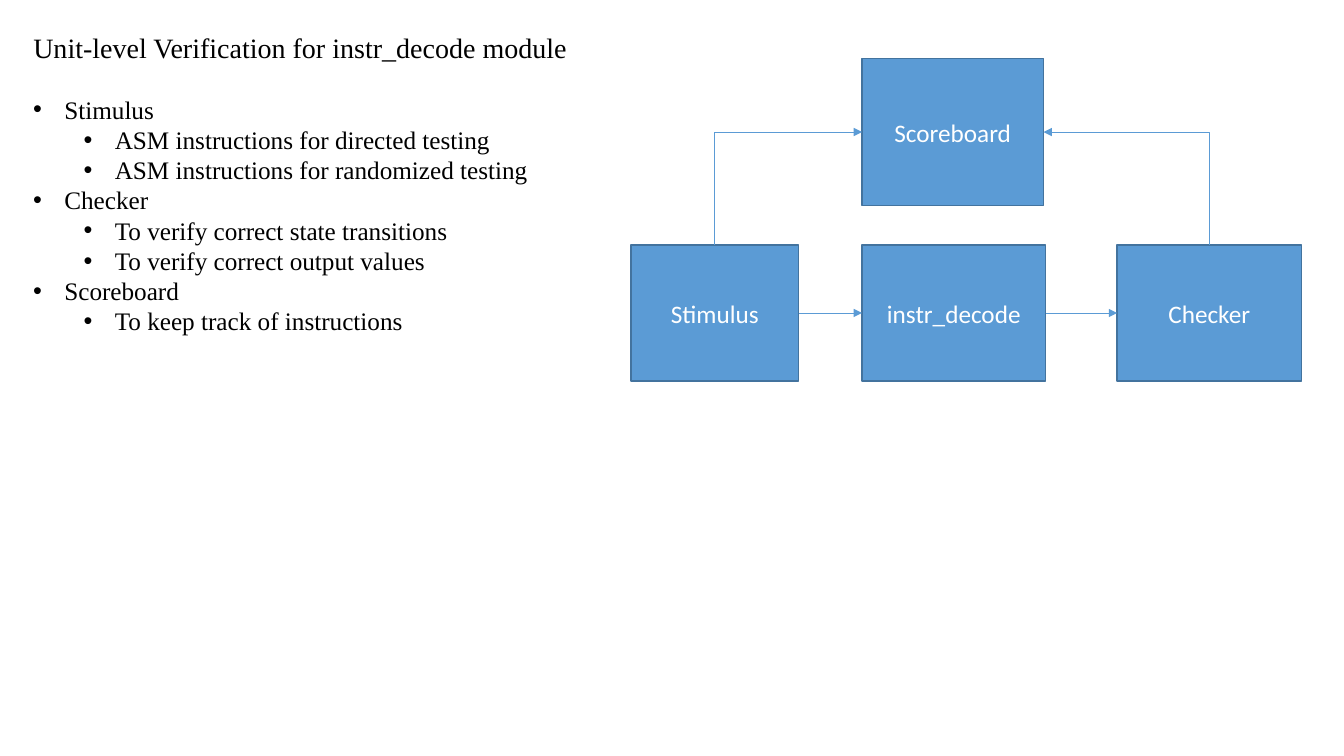
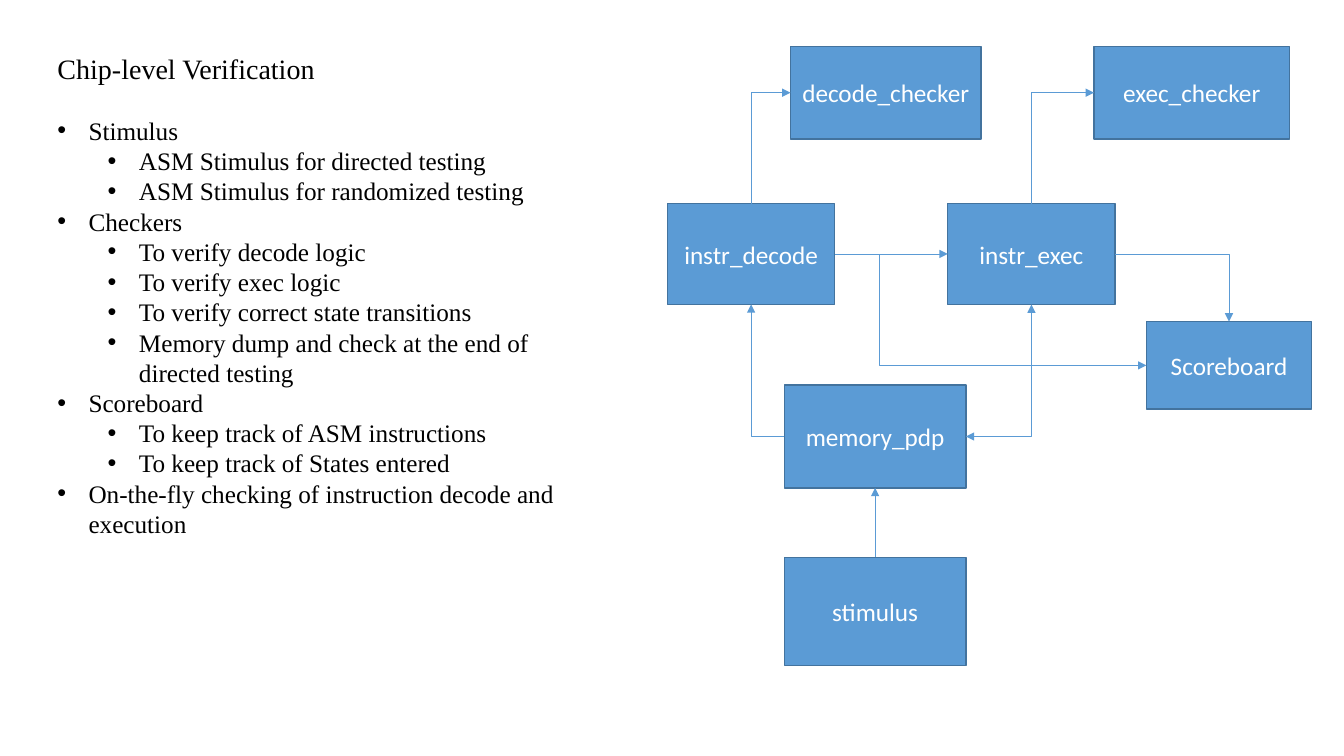
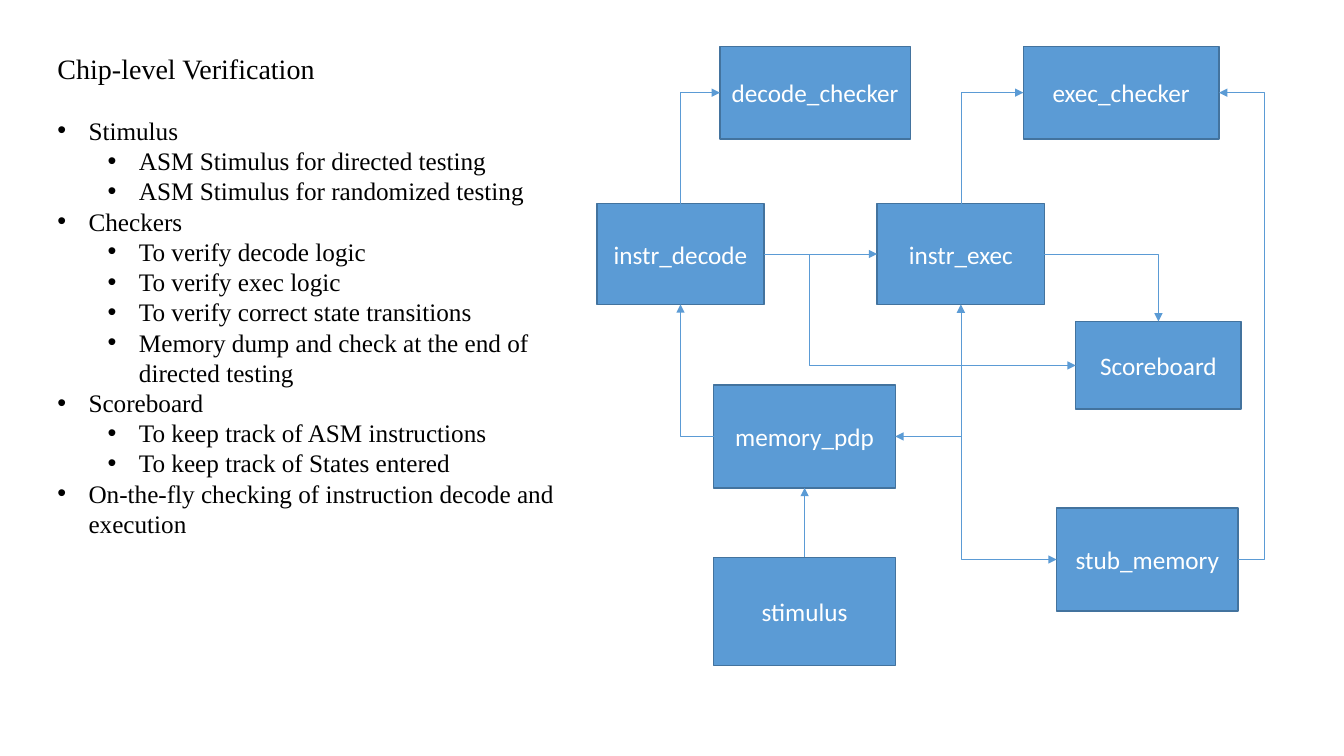
"""Build three slides on unit-level and chip-level verification."""
from lxml import etree
from pptx import Presentation
from pptx.dml.color import RGBColor
from pptx.enum.shapes import MSO_CONNECTOR, MSO_SHAPE
from pptx.enum.text import MSO_ANCHOR, MSO_AUTO_SIZE, PP_ALIGN
from pptx.oxml.ns import qn
from pptx.util import Inches, Pt

STRAIGHT, ELBOW = MSO_CONNECTOR.STRAIGHT, MSO_CONNECTOR.ELBOW
RECTANGLE = MSO_SHAPE.RECTANGLE
TOP, MIDDLE = MSO_ANCHOR.TOP, MSO_ANCHOR.MIDDLE
LEFT_ALIGN, CENTER = PP_ALIGN.LEFT, PP_ALIGN.CENTER
NO_FIT = MSO_AUTO_SIZE.NONE

BLUE, EDGE, WHITE, BLACK = "5B9BD5", "43739E", "FFFFFF", "000000"
SERIF, SANS = "Times New Roman", "Calibri"
TITLE_SIZE, BODY_SIZE, LEADING = 20, 18, 1.2
SITES = {"top": 0, "left": 1, "bottom": 2, "right": 3}

UNIT_BULLETS = [
    (0, "Stimulus"),
    (1, "ASM instructions for directed testing"),
    (1, "ASM instructions for randomized testing"),
    (0, "Checker"),
    (1, "To verify correct state transitions"),
    (1, "To verify correct output values"),
    (0, "Scoreboard"),
    (1, "To keep track of instructions"),
]
UNIT_BLOCKS = {
    "instr_decode": (8.55, 2.43, 1.82, 1.35),
    "Stimulus": (6.26, 2.43, 1.66, 1.35),
    "Scoreboard": (8.55, 0.58, 1.8, 1.46),
    "Checker": (11.08, 2.43, 1.83, 1.35),
}
UNIT_LINKS = [
    ("Stimulus", "right", "instr_decode", "left", {"kind": "line"}),
    ("instr_decode", "right", "Checker", "left", {"kind": "line"}),
    ("Stimulus", "top", "Scoreboard", "left", {}),
    ("Checker", "top", "Scoreboard", "right", {}),
]

CHIP_BULLETS = [
    (0, "Stimulus"),
    (1, "ASM Stimulus for directed testing"),
    (1, "ASM Stimulus for randomized testing"),
    (0, "Checkers"),
    (1, "To verify decode logic"),
    (1, "To verify exec logic"),
    (1, "To verify correct state transitions"),
    (1, "Memory dump and check at the end of directed testing"),
    (0, "Scoreboard"),
    (1, "To keep track of ASM instructions"),
    (1, "To keep track of States entered"),
    (0, "On-the-fly checking of instruction decode and execution"),
]
CHIP_BLOCKS = {
    "instr_exec": (9.4, 2.02, 1.66, 1),
    "instr_decode": (6.62, 2.02, 1.66, 1),
    "memory_pdp": (7.78, 3.82, 1.8, 1.02),
    "stimulus": (7.78, 5.53, 1.8, 1.07),
    "decode_checker": (7.84, 0.46, 1.89, 0.92),
    "exec_checker": (10.85, 0.46, 1.94, 0.92),
    "Scoreboard": (11.37, 3.19, 1.64, 0.87),
}
CHIP_LINKS = [
    ("memory_pdp", "left", "instr_decode", "bottom", {}),
    ("instr_exec", "bottom", "memory_pdp", "right", {"both": True}),
    ("instr_decode", "right", "instr_exec", "left", {"kind": "line"}),
    ("stimulus", "top", "memory_pdp", "bottom", {"kind": "line"}),
    ("instr_decode", "top", "decode_checker", "left", {}),
    ("instr_exec", "top", "exec_checker", "left", {}),
    ("instr_exec", "right", "Scoreboard", "top", {}),
    ((8.73, 2.52), "right", "Scoreboard", "left", {"kind": "z", "bend": -0.002}),
]
STUB_BLOCKS = {"stub_memory": (11.18, 5.04, 1.8, 1.02)}
STUB_LINKS = [
    ((10.23, 4.33), "bottom", "stub_memory", "left", {}),
    ("stub_memory", "right", "exec_checker", "right", {"kind": "z", "bend": -1.383}),
]

SLIDES = [
    dict(title="Unit-level Verification for instr_decode module",
         text_at=(0.23, 0.25, 5.59), bullets=UNIT_BULLETS,
         blocks=UNIT_BLOCKS, links=UNIT_LINKS, shift=0),
    dict(title="Chip-level Verification", text_at=(0.47, 0.46, 5.71),
         bullets=CHIP_BULLETS, blocks=CHIP_BLOCKS, links=CHIP_LINKS, shift=0),
    dict(title="Chip-level Verification", text_at=(0.47, 0.46, 5.71),
         bullets=CHIP_BULLETS, blocks={**CHIP_BLOCKS, **STUB_BLOCKS},
         links=CHIP_LINKS + STUB_LINKS, shift=-0.7),
]


def color(value):
    return RGBColor.from_string(value)


def place(shape, *box):
    shape.left, shape.top, shape.width, shape.height = map(Inches, box)


def write(shape, lines, font=SERIF, size=BODY_SIZE, ink=BLACK, align=LEFT_ALIGN,
          anchor=TOP, leading=None, bullets=False):
    """Fill a shape with (level, text) lines in one format."""
    frame = shape.text_frame
    frame.word_wrap, frame.auto_size, frame.vertical_anchor = True, NO_FIT, anchor
    frame.margin_left = frame.margin_right = Inches(0.1)
    frame.margin_top = frame.margin_bottom = Inches(0.05)
    for index, (level, text) in enumerate(lines):
        paragraph = frame.add_paragraph() if index else frame.paragraphs[0]
        paragraph.alignment, paragraph.level = align, level
        if leading:
            paragraph.line_spacing = Pt(size * leading)
        run = paragraph.add_run()
        run.text = text
        run.font.name, run.font.size = font, Pt(size)
        run.font.color.rgb = color(ink)
        if bullets:
            properties = paragraph._p.get_or_add_pPr()
            properties.set("marL", str(Inches(0.31 + 0.5 * level)))
            properties.set("indent", str(Inches(-0.31)))
            etree.SubElement(properties, qn("a:buFont"), typeface="Arial")
            etree.SubElement(properties, qn("a:buChar"), char="\u2022")


def add_block(slide, label, left, top, width, height):
    block = slide.shapes.add_shape(
        RECTANGLE, Inches(left), Inches(top), Inches(width), Inches(height))
    block.shadow.inherit = False
    block.fill.solid()
    block.fill.fore_color.rgb = color(BLUE)
    block.line.color.rgb = color(EDGE)
    block.line.width = Pt(1)
    write(block, [(0, label)], font=SANS, ink=WHITE, align=CENTER, anchor=MIDDLE)
    return block


def turn_upright(link, transform):
    """Make a one-corner link leave its start vertically."""
    across, down = link.end_x - link.begin_x, link.end_y - link.begin_y
    middle_x = (link.begin_x + link.end_x) // 2
    middle_y = (link.begin_y + link.end_y) // 2
    link.width, link.height = abs(down), abs(across)
    link.left, link.top = middle_x - abs(down) // 2, middle_y - abs(across) // 2
    transform.set("rot", "5400000")
    transform.set("flipH", str(int(down < 0)))
    transform.set("flipV", str(int(across > 0)))


def add_link(slide, blocks, shift, start, start_side, end, end_side,
             kind="corner", bend=0, both=False):
    """Join two blocks, or a free point and a block, with an arrow."""
    free = not isinstance(start, str)
    x, y = (Inches(start[0] + shift), Inches(start[1])) if free else (0, 0)
    link = slide.shapes.add_connector(STRAIGHT if kind == "line" else ELBOW, x, y, x, y)
    if not free:
        link.begin_connect(blocks[start], SITES[start_side])
    link.end_connect(blocks[end], SITES[end_side])
    link.line.color.rgb = color(BLUE)
    link.line.width = Pt(0.5)
    properties = link.element.spPr
    geometry = properties.find(qn("a:prstGeom"))
    if kind == "corner":
        geometry.set("prst", "bentConnector2")
        if start_side in ("top", "bottom"):
            turn_upright(link, properties.find(qn("a:xfrm")))
    elif kind == "z":
        etree.SubElement(geometry.find(qn("a:avLst")), qn("a:gd"),
                         name="adj1", fmla=f"val {round(bend * 100000)}")
    outline = link.line._get_or_add_ln()
    for tip in ("a:headEnd", "a:tailEnd") if both else ("a:tailEnd",):
        etree.SubElement(outline, qn(tip), type="triangle")
    etree.SubElement(properties, qn("a:effectLst"))


def add_slide(deck, title, text_at, bullets, blocks, links, shift):
    slide = deck.slides.add_slide(deck.slide_layouts[5])
    left, top, width = text_at
    title_height = TITLE_SIZE * LEADING / 72
    line_height = BODY_SIZE * LEADING / 72
    place(slide.shapes.title, left, top, width, title_height + 0.1)
    write(slide.shapes.title, [(0, title)], size=TITLE_SIZE, leading=LEADING)
    outline = slide.shapes.add_textbox(0, 0, 0, 0)
    place(outline, left, top + title_height + line_height, width,
          len(bullets) * line_height + 0.1)
    write(outline, bullets, leading=LEADING, bullets=True)
    drawn = {label: add_block(slide, label, x + shift, *rest)
             for label, (x, *rest) in blocks.items()}
    for *ends, options in links:
        add_link(slide, drawn, shift, *ends, **options)


deck = Presentation()
deck.slide_width, deck.slide_height = Inches(13.33), Inches(7.5)
for content in SLIDES:
    add_slide(deck, **content)
deck.save("out.pptx")
